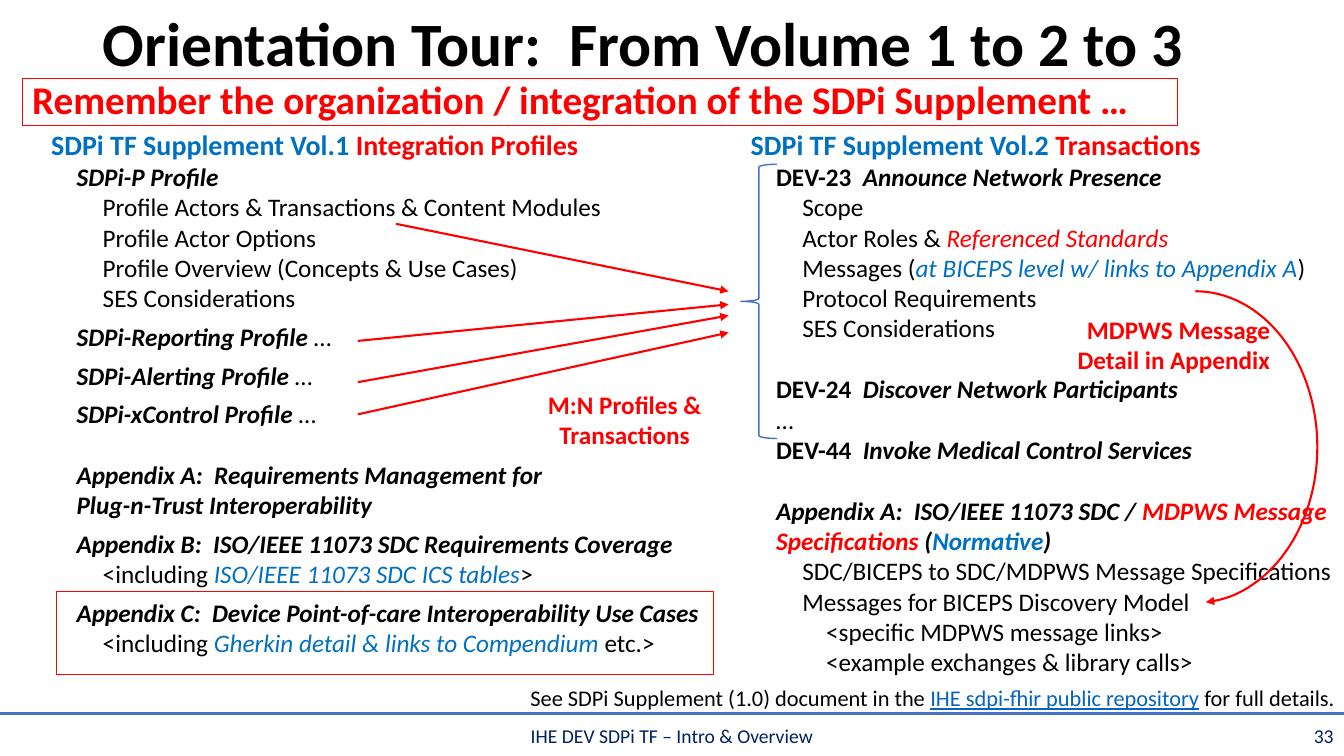
"""Build the orientation slide that leads from Volume 1 to Volume 2."""
from dataclasses import dataclass
from typing import NamedTuple

from lxml import etree
from pptx import Presentation
from pptx.dml.color import RGBColor
from pptx.enum.shapes import MSO_CONNECTOR, MSO_SHAPE
from pptx.enum.text import MSO_ANCHOR, PP_ALIGN
from pptx.oxml.ns import qn
from pptx.util import Cm, Pt

LEFT, MID, RIGHT = PP_ALIGN.LEFT, PP_ALIGN.CENTER, PP_ALIGN.RIGHT
TOP, MIDDLE = MSO_ANCHOR.TOP, MSO_ANCHOR.MIDDLE
RECT, BRACE, ARC = MSO_SHAPE.RECTANGLE, MSO_SHAPE.LEFT_BRACE, MSO_SHAPE.ARC
STRAIGHT = MSO_CONNECTOR.STRAIGHT
BLACK, RED, BLUE, NAVY = "000000", "FF0000", "0070C0", "002060"
RULE, LINK, WHITE = "4472C4", "0563C1", "FFFFFF"
INDENT = (0, 0.64, 1.3, 1.9)
SKIP = 22


class Bit(NamedTuple):
    """A stretch of text; look holds b, i and u for bold, italic, underline."""
    text: str
    look: str = ""
    hue: str = BLACK


@dataclass
class Row:
    """One paragraph with its indent depth and the space before it."""
    bits: list[Bit]
    depth: int = 0
    gap: int = 0
    size: int = 18


@dataclass
class Block:
    """A text box placed in centimetres."""
    box: tuple[float, float, float, float]
    rows: list[Row]
    align: PP_ALIGN = LEFT
    anchor: MSO_ANCHOR = TOP
    lead: float = 1.0


@dataclass
class Form:
    """An outlined preset shape."""
    kind: MSO_SHAPE
    box: tuple[float, float, float, float]
    hue: str
    width: float
    fill: str = ""


class Wire(NamedTuple):
    """A straight line from one point to another."""
    start: tuple[float, float]
    end: tuple[float, float]
    hue: str = RED
    head: bool = True


def color(code: str) -> RGBColor:
    """Turn a hex string into a colour."""
    return RGBColor.from_string(code)


def point(line) -> None:
    """Put a triangle at the end of a line."""
    etree.SubElement(line._get_or_add_ln(), qn("a:tailEnd"), type="triangle")


def write(slide, block: Block) -> None:
    """Draw a text box with its paragraphs."""
    frame = slide.shapes.add_textbox(*map(Cm, block.box)).text_frame
    frame.word_wrap = True
    frame.vertical_anchor = block.anchor
    for num, row in enumerate(block.rows):
        para = frame.add_paragraph() if num else frame.paragraphs[0]
        para.alignment = block.align
        para.line_spacing = block.lead
        para.space_before = Pt(row.gap)
        para.level = row.depth
        para._p.get_or_add_pPr().set("marL", str(Cm(INDENT[row.depth])))
        para.text = row.bits[0].text
        looks = [row.bits[0]] * len(para.runs)
        for bit in row.bits[1:]:
            para.add_run().text = bit.text
            looks.append(bit)
        for run, bit in zip(para.runs, looks):
            font = run.font
            font.name, font.size = "Calibri", Pt(row.size)
            font.color.rgb = color(bit.hue)
            font.bold, font.italic = "b" in bit.look, "i" in bit.look
            font.underline = "u" in bit.look


def draw(slide, form: Form):
    """Draw an outlined shape and return it."""
    shape = slide.shapes.add_shape(form.kind, *map(Cm, form.box))
    shape.shadow.inherit = False
    if form.fill:
        shape.fill.solid()
        shape.fill.fore_color.rgb = color(form.fill)
    else:
        shape.fill.background()
    shape.line.color.rgb = color(form.hue)
    shape.line.width = Pt(form.width)
    return shape


def link(slide, wire: Wire) -> None:
    """Draw a straight line, with an arrowhead if asked."""
    line = slide.shapes.add_connector(
        STRAIGHT, *map(Cm, (*wire.start, *wire.end)))
    line.line.color.rgb = color(wire.hue)
    line.line.width = Pt(1.5)
    if wire.head:
        point(line.line)
    etree.SubElement(line._element.spPr, qn("a:effectLst"))


def plain(text: str, depth: int = 2) -> Row:
    """Make a row of regular black text."""
    return Row([Bit(text)], depth)


def strong(text: str, gap: int = 0) -> Row:
    """Make a row of bold italic text."""
    return Row([Bit(text, "bi")], 1, gap)


def volume(num: int, topic: str) -> Row:
    """Make the heading of a volume."""
    return Row([Bit(f"SDPi TF Supplement Vol.{num} ", "b", BLUE),
                Bit(topic, "b", RED)], size=20)


def trade(code: str, name: str, gap: int = 0) -> Row:
    """Make a row that names a transaction."""
    return Row([Bit(f"{code}  ", "b"), Bit(name, "bi")], 1, gap)


def within(topic: str, close: str) -> Row:
    """Make a row that tells what an appendix includes."""
    return Row([Bit("<including "), Bit(topic, "i", BLUE), Bit(close)], 2)


def label(text: str, size: int, hue: str, look: str = "") -> list[Row]:
    """Make a single row of one style."""
    return [Row([Bit(text, look, hue)], size=size)]


FIRST = [
    volume(1, "Integration Profiles"),
    strong("SDPi-P Profile"),
    plain("Profile Actors & Transactions & Content Modules"),
    plain("Profile Actor Options"),
    plain("Profile Overview (Concepts & Use Cases)"),
    plain("SES Considerations"),
    *[Row([Bit(f"SDPi-{name} Profile ", "bi"), Bit("…")], 1, 6)
      for name in ("Reporting", "Alerting", "xControl")],
    strong("Appendix A:  Requirements Management for"
           "\vPlug-n-Trust Interoperability", SKIP),
    strong("Appendix B:  ISO/IEEE 11073 SDC Requirements Coverage", 6),
    within("ISO/IEEE 11073 SDC ICS tables", ">"),
    strong("Appendix C:  Device Point-of-care Interoperability Use Cases", 6),
    within("Gherkin detail & links to Compendium ", "etc.>"),
]
SECOND = [
    volume(2, "Transactions"),
    trade("DEV-23", "Announce Network Presence"),
    plain("Scope"),
    Row([Bit("Actor Roles & "), Bit("Referenced Standards", "i", RED)], 2),
    Row([Bit("Messages ("), Bit("at BICEPS level w/ links to Appendix A",
                                "i", BLUE), Bit(")")], 2),
    plain("Protocol Requirements"),
    plain("SES Considerations"),
    trade("DEV-24", "Discover Network Participants", SKIP),
    plain("…", 1),
    trade("DEV-44", "Invoke Medical Control Services"),
    Row([Bit("Appendix A:  ISO/IEEE 11073 SDC / ", "bi"),
         Bit("MDPWS Message Specifications", "bi", RED), Bit(" (", "bi"),
         Bit("Normative", "bi", BLUE), Bit(")", "bi")], 1, SKIP),
    plain("SDC/BICEPS to SDC/MDPWS Message Specifications"),
    plain("Messages for BICEPS Discovery Model"),
    plain("<specific MDPWS message links>", 3),
    plain("<example exchanges & library calls>", 3),
]
SOURCE = Row([Bit("See SDPi Supplement (1.0) document in the "),
              Bit("IHE sdpi-fhir public repository", "u", LINK),
              Bit(" for full details.")], size=16)
BLOCKS = [
    Block((2.34, 0.05, 29.21, 2.24),
          label("Orientation Tour:  From Volume 1 to 2 to 3", 44, BLACK, "b"),
          anchor=MIDDLE, lead=0.9),
    Block((0, 18.03, 33.87, 1.02),
          label("IHE DEV SDPi TF – Intro & Overview", 14, NAVY), MID, MIDDLE),
    Block((30.66, 18.03, 3.2, 1.02), label("33", 14, NAVY), RIGHT, MIDDLE),
    Block((1.04, 3.1, 17.04, 14.91), FIRST),
    Block((18.67, 3.1, 15.19, 14.2), SECOND),
    Block((12.62, 17.12, 21.26, 0.94), [SOURCE], RIGHT),
    Block((12.83, 9.68, 5.82, 1.8),
          label("M:N Profiles & Transactions", 18, RED, "b"), MID),
    Block((26.44, 7.8, 5.82, 1.8),
          label("MDPWS Message Detail in Appendix", 18, RED, "b"), RIGHT),
    Block((0.56, 1.78, 29.57, 1.45),
          label("Remember the organization / integration of the "
                "SDPi Supplement …", 28, RED, "b")),
]
WIRES = [
    Wire((0, 17.98), (33.87, 17.98), RULE, False),
    Wire((9.02, 8.59), (18.36, 7.67)),
    Wire((9.02, 9.63), (18.36, 7.95)),
    Wire((9.02, 10.44), (18.36, 8.38)),
    Wire((9.98, 5.64), (18.36, 7.34)),
]


def main() -> None:
    """Assemble and save the slide."""
    deck = Presentation()
    deck.slide_width, deck.slide_height = Cm(33.87), Cm(19.05)
    slide = deck.slides.add_slide(deck.slide_layouts[6])
    draw(slide, Form(RECT, (1.42, 14.91, 16.56, 2.08), RED, 0.5, WHITE))
    for block in BLOCKS:
        write(slide, block)
    draw(slide, Form(BRACE, (18.67, 4.14, 0.91, 6.91), RULE, 1))
    for wire in WIRES:
        link(slide, wire)
    arc = draw(slide, Form(ARC, (27.05, 7.34, 6.15, 7.85), RED, 1.5))
    arc.adjustments[0], arc.adjustments[1] = 162, 51.66
    point(arc.line)
    draw(slide, Form(RECT, (0.56, 1.98, 29.11, 1.19), RED, 0.5))
    deck.save("out.pptx")


if __name__ == "__main__":
    main()
